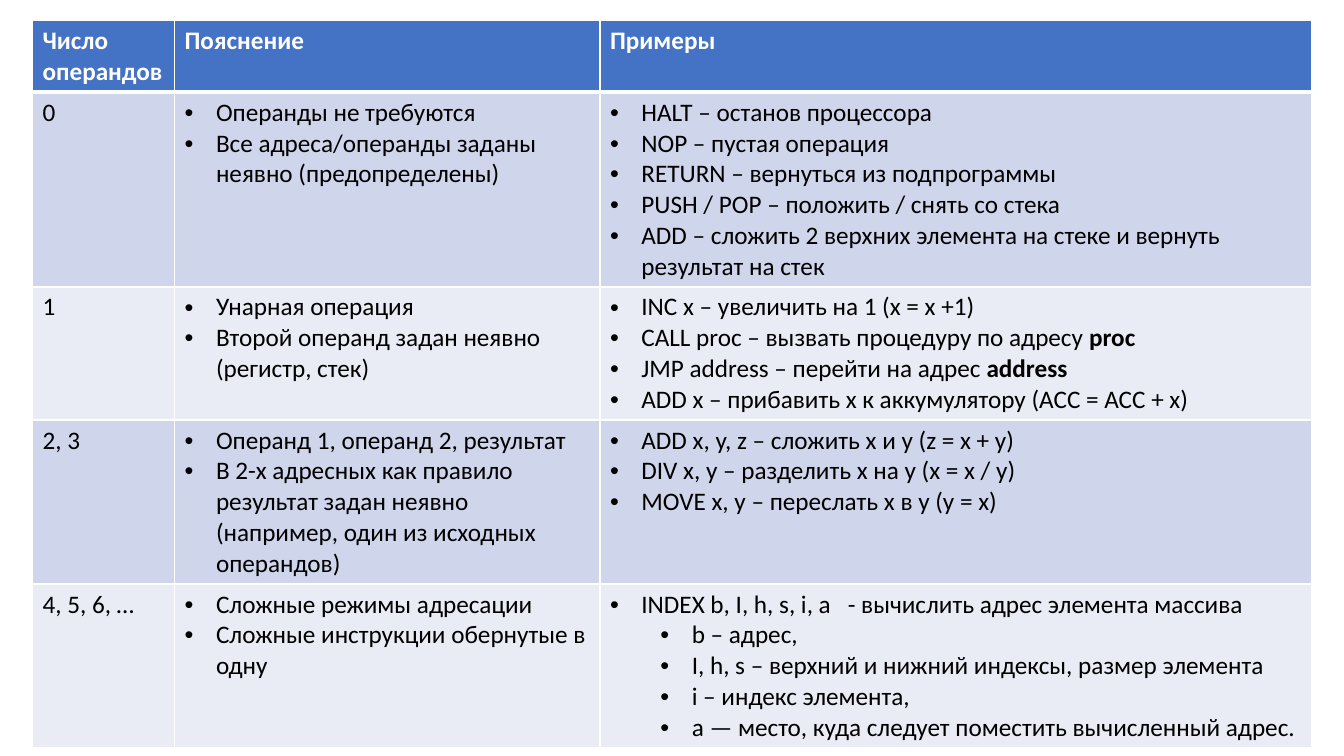
from lxml.etree import SubElement
from pptx import Presentation
from pptx.dml.color import RGBColor
from pptx.oxml.ns import qn
from pptx.util import Cm, Pt

WHITE = RGBColor(0xFF, 0xFF, 0xFF)
BLACK = RGBColor(0x00, 0x00, 0x00)
HEADER_BLUE = RGBColor(0x44, 0x72, 0xC4)
BAND_DARK = RGBColor(0xCF, 0xD5, 0xEA)
BAND_LIGHT = RGBColor(0xE9, 0xEB, 0xF5)

COLUMN_WIDTHS = (3.58, 10.72, 17.93)
ROW_HEIGHTS = (1.78, 4.83, 3.32, 4.06, 4.06)
BULLET_HANG = 0.79
LEVEL_STEP = 1.27

HEADERS = ("Число операндов", "Пояснение", "Примеры")
# Each row: operand count, explanations, examples, nested examples.
# Text between ** marks is bold.
ROWS = (
    ("0",
     ("Операнды не требуются",
      "Все адреса/операнды заданы неявно (предопределены)"),
     ("HALT – останов процессора",
      "NOP – пустая операция",
      "RETURN – вернуться из подпрограммы",
      "PUSH / POP – положить / снять со стека",
      "ADD – сложить 2 верхних элемента на стеке и вернуть результат на стек"),
     ()),
    ("1",
     ("Унарная операция",
      "Второй операнд задан неявно (регистр, стек)"),
     ("INC x – увеличить на 1 (x = x +1)",
      "CALL proc – вызвать процедуру по адресу **proc**",
      "JMP address – перейти на адрес **address**",
      "ADD x – прибавить x к аккумулятору (ACC = ACC + x)"),
     ()),
    ("2, 3",
     ("Операнд 1, операнд 2, результат",
      "В 2-х адресных как правило результат задан неявно "
      "(например, один из исходных операндов)"),
     ("ADD x, y, z – сложить x и y (z = x + y)",
      "DIV x, y – разделить x на y (x = x / y)",
      "MOVE x, y – переслать x в y (y = x)"),
     ()),
    ("4, 5, 6, …",
     ("Сложные режимы адресации",
      "Сложные инструкции обернутые в одну"),
     ("INDEX b, I, h, s, i, a   - вычислить адрес элемента массива",),
     ("b – адрес,",
      "I, h, s – верхний и нижний индексы, размер элемента",
      "i – индекс элемента,",
      "а — место, куда следует поместить вычисленный адрес.")),
)


def style_cell(cell, fill, top=1, bottom=1):
    """Draw the white borders, given in points, and the fill."""
    properties = cell._tc.get_or_add_tcPr()
    for side, width in (("L", 1), ("R", 1), ("T", top), ("B", bottom)):
        line = SubElement(properties, qn(f"a:ln{side}"), w=str(Pt(width)))
        solid = SubElement(line, qn("a:solidFill"))
        SubElement(solid, qn("a:srgbClr"), val=str(WHITE))
    cell.fill.solid()
    cell.fill.fore_color.rgb = fill


def add_bullet(para, level):
    para.level = level
    properties = para._p.get_or_add_pPr()
    properties.set("marL", str(Cm(BULLET_HANG + level * LEVEL_STEP)))
    properties.set("indent", str(-Cm(BULLET_HANG)))
    SubElement(properties, qn("a:buFont"), typeface="Arial")
    SubElement(properties, qn("a:buChar"), char="•")


def write_para(para, text, color=BLACK, bold=False):
    for index, part in enumerate(text.split("**")):
        if part:
            span = para.add_run()
            span.text = part
            span.font.name = "Calibri"
            span.font.size = Pt(18)
            span.font.bold = bold or index % 2 == 1
            span.font.color.rgb = color


def write_list(cell, items, nested=()):
    frame = cell.text_frame
    entries = [(text, 0) for text in items] + [(text, 1) for text in nested]
    for index, (text, level) in enumerate(entries):
        para = frame.add_paragraph() if index else frame.paragraphs[0]
        add_bullet(para, level)
        write_para(para, text)


def add_operand_table(page, left, top):
    table = page.shapes.add_table(
        len(ROWS) + 1, len(HEADERS), Cm(left), Cm(top),
        Cm(sum(COLUMN_WIDTHS)), Cm(sum(ROW_HEIGHTS))).table
    for column, width in zip(table.columns, COLUMN_WIDTHS):
        column.width = Cm(width)
    for row, height in zip(table.rows, ROW_HEIGHTS):
        row.height = Cm(height)

    # Header row
    for column, text in enumerate(HEADERS):
        cell = table.cell(0, column)
        style_cell(cell, HEADER_BLUE, bottom=3)
        write_para(cell.text_frame.paragraphs[0], text, WHITE, bold=True)

    # Banded body rows
    for row, (count, notes, examples, nested) in enumerate(ROWS, start=1):
        cells = table.rows[row].cells
        for cell in cells:
            style_cell(cell, BAND_DARK if row % 2 else BAND_LIGHT,
                       top=3 if row == 1 else 1)
        write_para(cells[0].text_frame.paragraphs[0], count)
        write_list(cells[1], notes)
        write_list(cells[2], examples, nested)


def main():
    deck = Presentation()
    deck.slide_width, deck.slide_height = Cm(33.87), Cm(19.05)
    page = deck.slides.add_slide(deck.slide_layouts[6])
    add_operand_table(page, left=0.82, top=0.52)
    deck.save("out.pptx")


if __name__ == "__main__":
    main()
